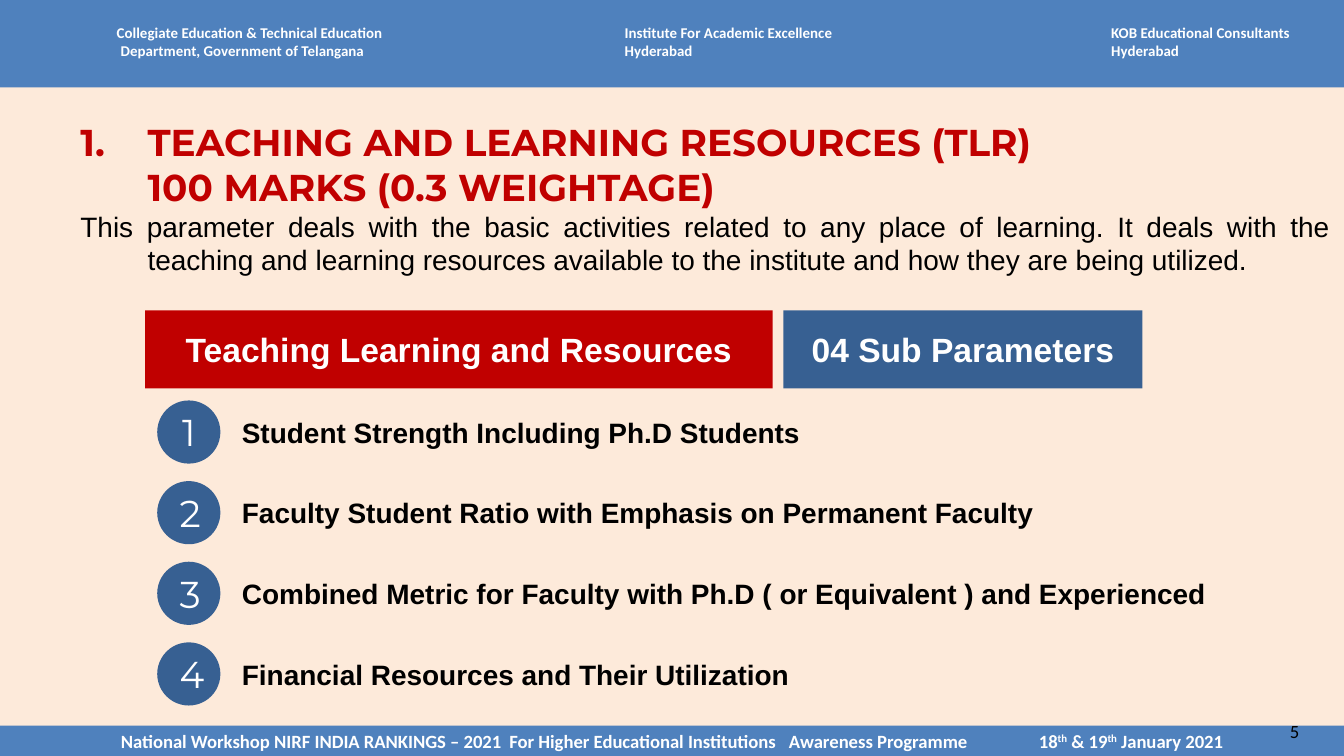
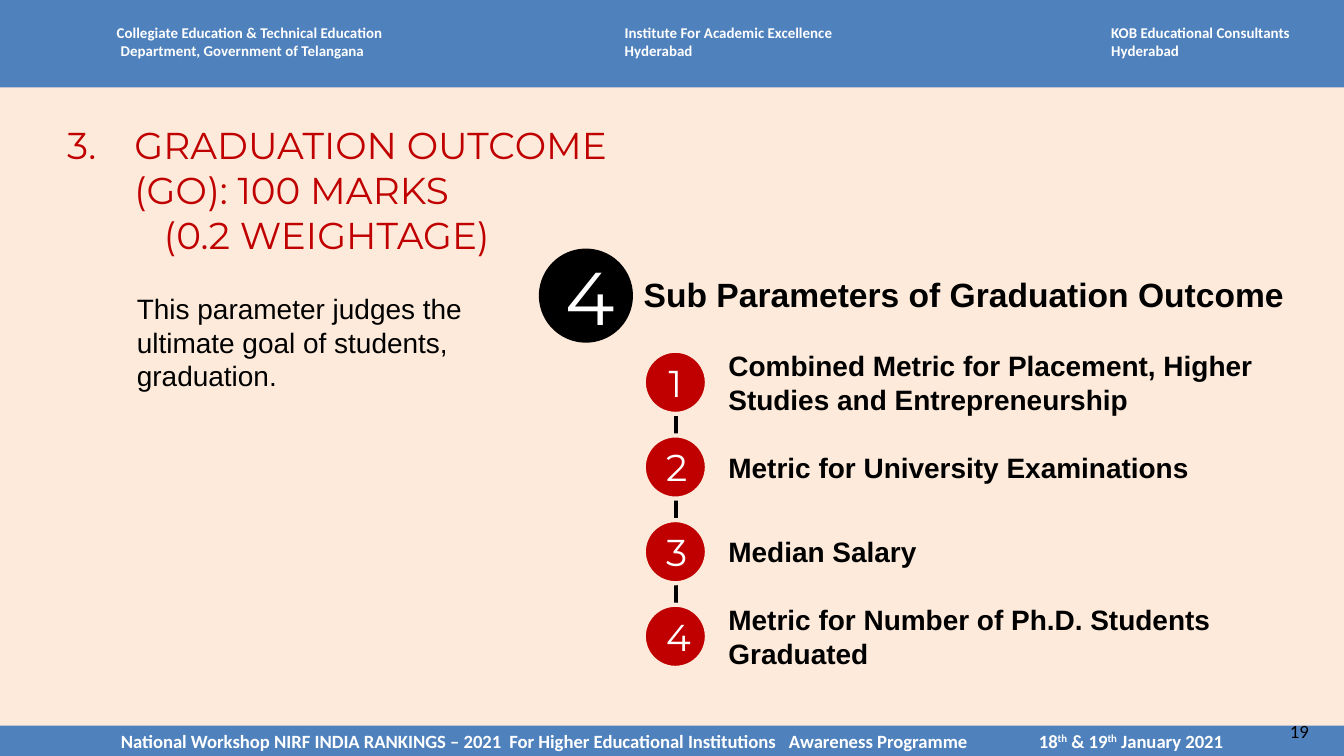
"""Build two workshop slides on ranking parameters and their sub parameters."""
from lxml import etree
from pptx import Presentation
from pptx import util as u
from pptx.dml import color
from pptx.enum import shapes, text
from pptx.oxml import ns

HUES = {"band": "4F81BD", "page": "FDEADA", "red": "C00000",
        "navy": "376092", "black": "000000", "white": "FFFFFF"}
RGB = {name: color.RGBColor.from_string(code) for name, code in HUES.items()}
RECT, OVAL = shapes.MSO_SHAPE.RECTANGLE, shapes.MSO_SHAPE.OVAL
LEFT, MID, JUST = text.PP_ALIGN.LEFT, text.PP_ALIGN.CENTER, text.PP_ALIGN.JUSTIFY


def put(slide, box, lines, size=15, face="Arial", hue="black", bold=False,
        kind=None, fill=None, align=LEFT, pad=(0, 0), high=False):
    place = [u.Inches(n) for n in box]
    if kind is None:
        item = slide.shapes.add_textbox(*place)
    else:
        item = slide.shapes.add_shape(kind, *place)
        item.shadow.inherit = False
        item.fill.solid()
        item.fill.fore_color.rgb = RGB[fill]
        item.line.fill.background()
    frame = item.text_frame
    frame.word_wrap = True
    frame.vertical_anchor = text.MSO_ANCHOR.TOP if high else text.MSO_ANCHOR.MIDDLE
    frame.margin_left = frame.margin_right = u.Inches(pad[0])
    frame.margin_top = frame.margin_bottom = u.Inches(pad[1])
    for i, line in enumerate(lines):
        para = frame.paragraphs[0] if i == 0 else frame.add_paragraph()
        para.text = line
        para.alignment = align
        style(para, size, face, hue, bold)
    return item


def style(para, size, face, hue, bold, left=0, hang=0, start=0, tabs=()):
    props = para._p.get_or_add_pPr()
    if left:
        props.set("marL", str(u.Inches(left)))
        props.set("indent", str(u.Inches(hang)))
    if start:
        tint = etree.SubElement(props, ns.qn("a:buClr"))
        etree.SubElement(tint, ns.qn("a:srgbClr"), val=HUES[hue])
        etree.SubElement(props, ns.qn("a:buFont"), typeface=face)
        etree.SubElement(props, ns.qn("a:buAutoNum"), type="arabicPeriod",
                         startAt=str(start))
    if tabs:
        stops = etree.SubElement(props, ns.qn("a:tabLst"))
        for stop in tabs:
            etree.SubElement(stops, ns.qn("a:tab"), pos=str(u.Inches(stop)), algn="l")
    para.font.size = u.Pt(size)
    para.font.name = face
    para.font.bold = bold
    para.font.color.rgb = RGB[hue]


deck = Presentation()
deck.slide_width, deck.slide_height = u.Inches(10), u.Inches(10 * 9 / 16)
PAD = (0.1, 0.05)
HOSTS = [
    (0.77, 2.22, ["Collegiate Education & Technical Education",
                  "Department, Government of Telangana"]),
    (4.55, 1.75, ["Institute For Academic Excellence", "Hyderabad"]),
    (8.17, 1.67, ["KOB Educational Consultants", "Hyderabad"]),
]
EVENT = ("National Workshop NIRF INDIA RANKINGS – 2021\tFor Higher Educational "
         "Institutions\tAwareness Programme\t18")

pages = []
for number in ("5", "19"):
    page = deck.slides.add_slide(deck.slide_layouts[6])
    page.background.fill.solid()
    page.background.fill.fore_color.rgb = RGB["page"]
    put(page, (0, 0, 10, 0.65), [], kind=RECT, fill="band")
    for x, wide, lines in HOSTS:
        host = put(page, (x, 0.13, wide, 0.37), lines, 8, "Calibri", "white", True,
                   pad=PAD, high=True)
        if x == HOSTS[0][0]:
            host.text_frame.paragraphs[1]._p.get_or_add_pPr().set(
                "marL", str(u.Inches(0.03)))
    foot = put(page, (0, 5.4, 10, 0.23), [], kind=RECT, fill="band", pad=PAD)
    foot.text_frame.margin_left = u.Inches(0.9)
    para = foot.text_frame.paragraphs[0]
    para.alignment = LEFT
    style(para, 10, "Calibri", "white", True, tabs=(2.89, 4.97, 6.83))
    for part in (EVENT, "th", " & 19", "th", " January 2021"):
        run = para.add_run()
        run.text = part
        if part == "th":
            run._r.get_or_add_rPr().set("baseline", "30000")
    put(page, (9.5, 5.31, 0.5, 0.27), [number], 10, "Calibri", pad=PAD, high=True)
    pages.append(page)
teach, grad = pages

head = put(teach, (0, 0.84, 10, 1.27), [], pad=PAD, high=True).text_frame
lead, marks, about = head.paragraphs[0], head.add_paragraph(), head.add_paragraph()
style(lead, 20, "Montserrat", "red", True, 1, -0.5, start=1)
style(marks, 20, "Montserrat", "red", True, 1)
style(about, 15, "Arial", "black", False, 1, -0.5)
lead.text = "TEACHING AND LEARNING RESOURCES (TLR)"
marks.text = "100 MARKS (0.3 WEIGHTAGE)"
about.text = ("This parameter deals with the basic activities related to any place of "
              "learning. It deals with the teaching and learning resources available to "
              "the institute and how they are being utilized.")
about.alignment = JUST
for x, wide, label, fill in ((1.08, 4.67, "Teaching Learning and Resources", "red"),
                             (5.83, 2.67, "04 Sub Parameters", "navy")):
    put(teach, (x, 2.31, wide, 0.58), [label], 18, hue="white", bold=True,
        kind=RECT, fill=fill, align=MID)

link = grad.shapes.add_connector(shapes.MSO_CONNECTOR.STRAIGHT, u.Inches(5.03),
                                 u.Inches(2.96), u.Inches(5.03), u.Inches(4.79))
link.line.color.rgb = RGB["black"]
link.line.width = u.Pt(2.25)
etree.SubElement(link._element.spPr, ns.qn("a:effectLst"))
head = put(grad, (0, 0.9, 5.08, 1.02), []).text_frame
lead, marks = head.paragraphs[0], head.add_paragraph()
style(lead, 20, "Montserrat", "red", False, 1, -0.5, start=3)
style(marks, 20, "Montserrat", "red", False, 1.22)
lead.text = "GRADUATION OUTCOME (GO): 100 MARKS"
marks.text = "(0.2 WEIGHTAGE)"
put(grad, (0.92, 2.12, 2.67, 0.85),
    ["This parameter judges the ultimate goal of students, graduation."],
    pad=PAD, high=True)
put(grad, (4.79, 1.97, 4.83, 0.43), ["Sub Parameters of Graduation Outcome"], 18,
    bold=True)
put(grad, (4.01, 1.85, 0.7, 0.7), ["4"], 40, "Montserrat", "white", kind=OVAL,
    fill="black", align=MID, pad=PAD)

LISTS = [
    (teach, 1.17, 2.98, 0.6, 7.2, "navy", [
        "Student Strength Including Ph.D Students",
        "Faculty Student Ratio with Emphasis on Permanent Faculty",
        "Combined Metric for Faculty with Ph.D ( or Equivalent ) and Experienced",
        "Financial Resources and Their Utilization"]),
    (grad, 4.79, 2.61, 0.63, 4.16, "red", [
        "Combined Metric for Placement, Higher Studies and Entrepreneurship",
        "Metric for University Examinations",
        "Median Salary",
        "Metric for Number of Ph.D. Students Graduated"]),
]
for page, x, top, step, wide, fill, items in LISTS:
    for i, item in enumerate(items):
        y = top + i * step
        dot = put(page, (x, y, 0.47, 0.47), [str(i + 1)], 20, "Montserrat", "white",
                  kind=OVAL, fill=fill, align=MID, pad=PAD)
        if page is grad:
            dot.line.color.rgb = RGB["page"]
            dot.line.width = u.Pt(2.25)
        put(page, (x + 0.63, y + 0.02, wide, 0.43), [item], bold=True)

deck.save("out.pptx")
